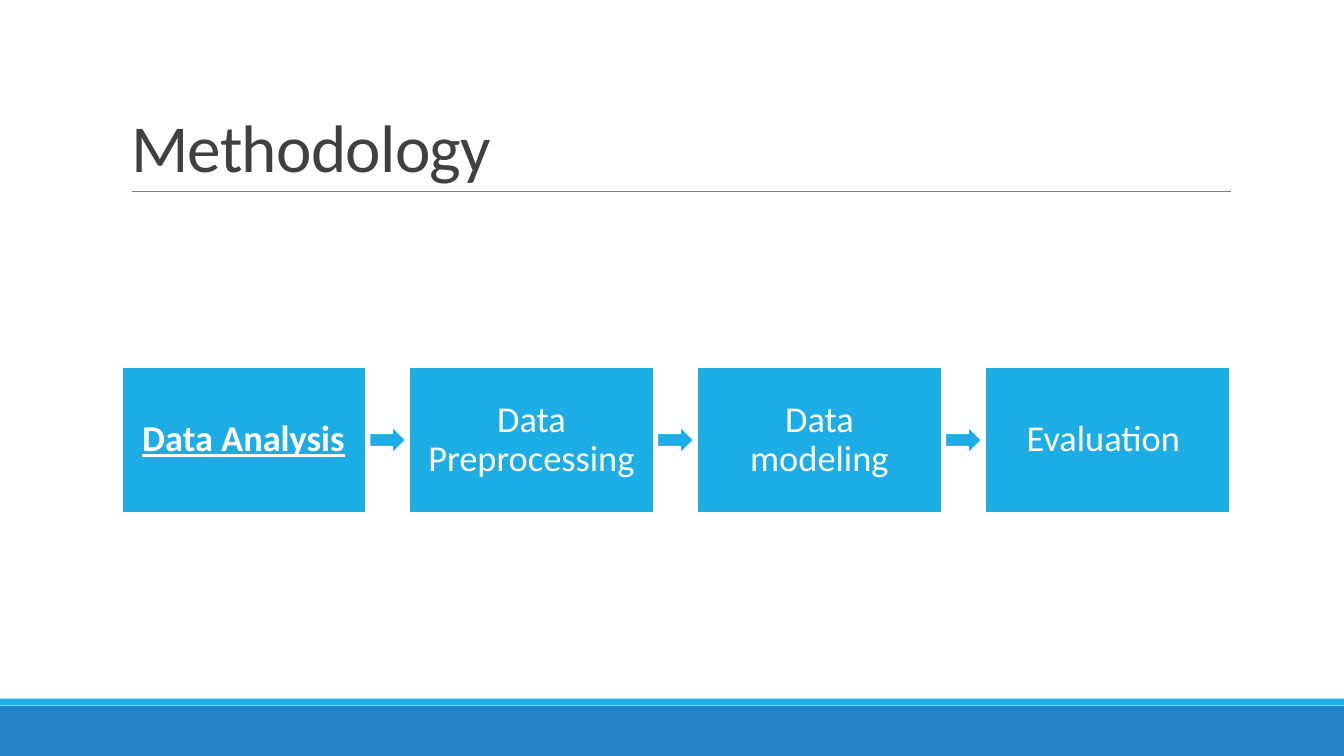
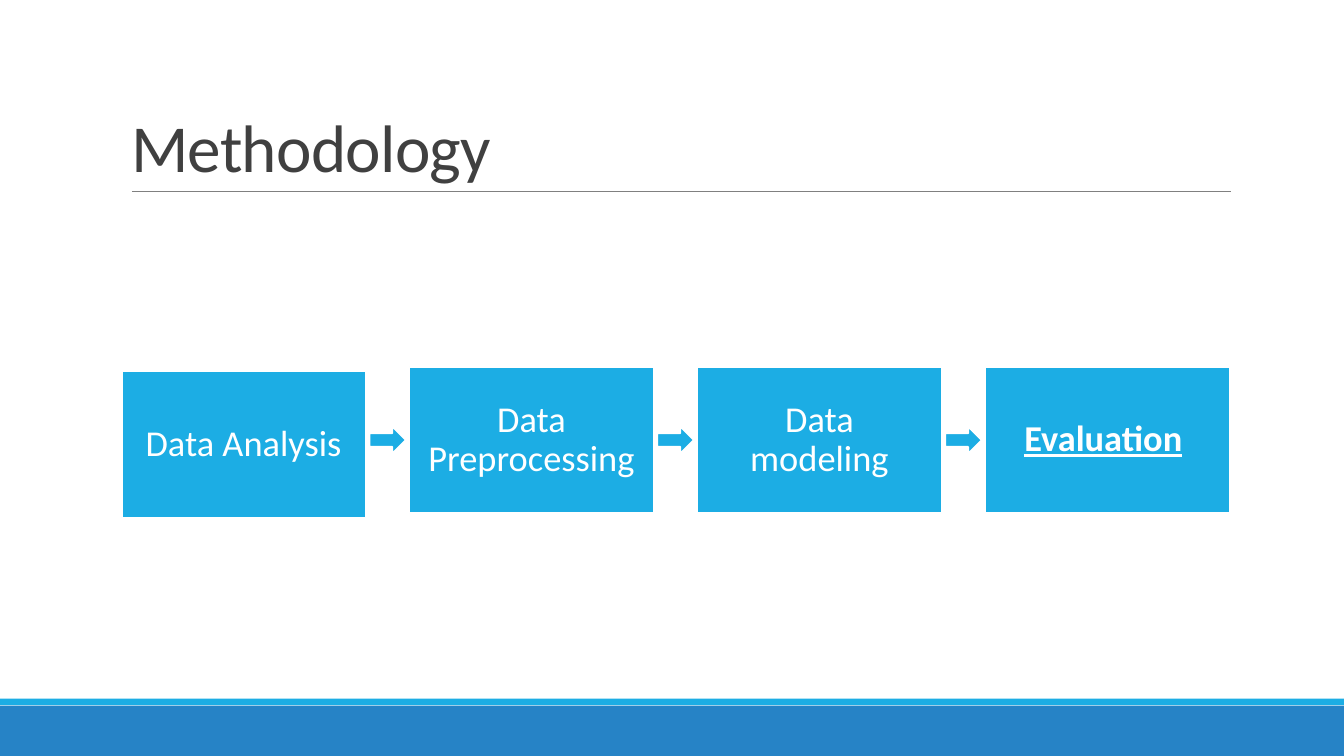
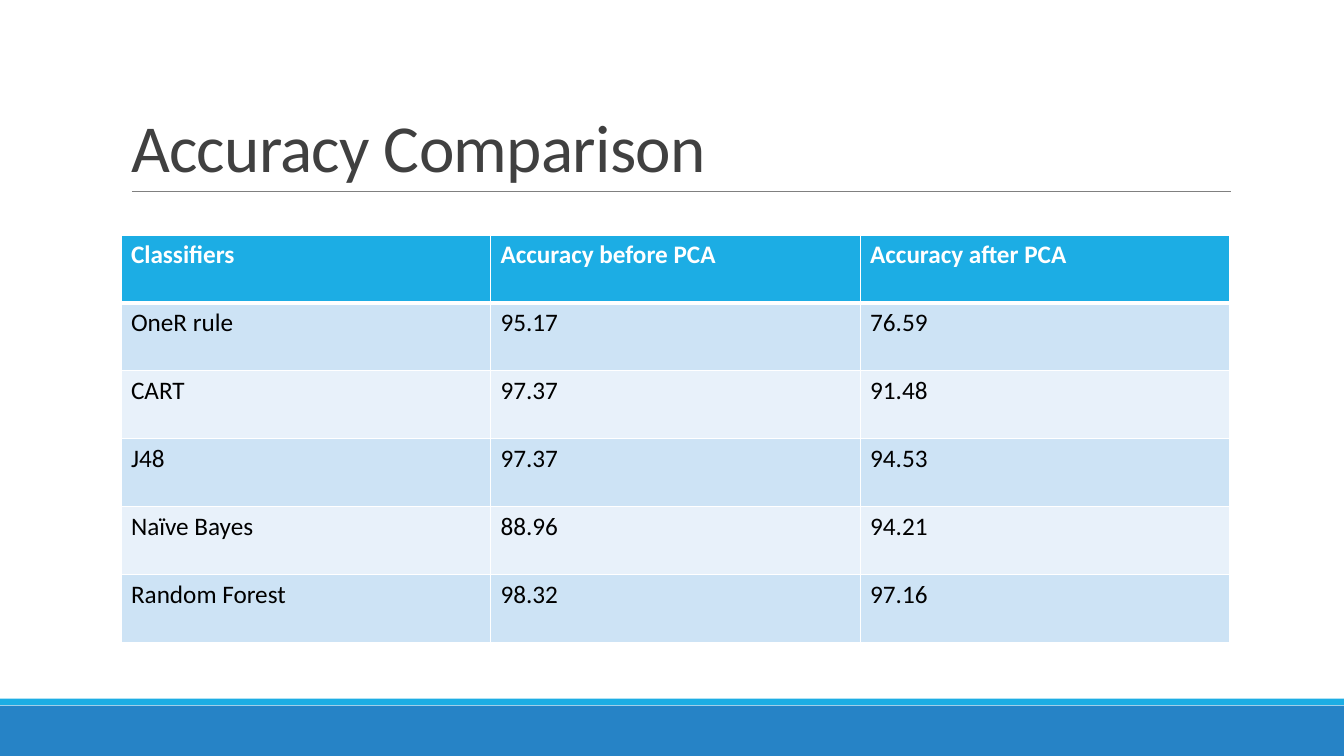
from lxml import etree
from pptx import Presentation
from pptx.dml.color import RGBColor
from pptx.enum.shapes import MSO_CONNECTOR, MSO_SHAPE
from pptx.enum.text import MSO_ANCHOR, MSO_AUTO_SIZE, PP_ALIGN
from pptx.oxml.ns import qn
from pptx.util import Pt

RECTANGLE, ARROW = MSO_SHAPE.RECTANGLE, MSO_SHAPE.RIGHT_ARROW
STRAIGHT = MSO_CONNECTOR.STRAIGHT
TOP, MIDDLE, BOTTOM = MSO_ANCHOR.TOP, MSO_ANCHOR.MIDDLE, MSO_ANCHOR.BOTTOM
LEFT, CENTER = PP_ALIGN.LEFT, PP_ALIGN.CENTER
NO_AUTOFIT = MSO_AUTO_SIZE.NONE

# Shared style
FONT = "Calibri"
WHITE, BLACK, DARK, GREY = "FFFFFF", "000000", "404040", "808080"
SKY, BLUE = "1CADE4", "2683C6"
ROW_FILLS = ("CDE3F5", "E8F1FA")
PAGE_WIDTH, PAGE_HEIGHT = 960, 540

# Boxes: left, top, width, height
TITLE_BOX = (86.4, 22.6, 792, 114.2)
FLOW_BOX = (86.9, 262.1, 791.3, 104.5)
TABLE_BOX = (86.4, 167.8, 792, 291)

STEPS = ("Data Analysis", "Data Preprocessing", "Data modeling", "Evaluation ")
ACCURACY = (
    ("Classifiers", "Accuracy before PCA", "Accuracy after PCA"),
    ("OneR rule", "95.17", "76.59"),
    ("CART", "97.37", "91.48"),
    ("J48", "97.37", "94.53"),
    ("Naïve Bayes", "88.96", "94.21"),
    ("Random Forest", "98.32", "97.16"),
)


def color(code):
    return RGBColor.from_string(code)


def points(*lengths):
    return [Pt(length) for length in lengths]


def write_text(frame, text, size=18, ink=BLACK, strong=False, underline=False,
               align=LEFT, anchor=TOP, line_spacing=1.0, tracking=0):
    """Fill a text frame; a trailing space stays free of emphasis."""
    frame.word_wrap = True
    frame.vertical_anchor = anchor
    para = frame.paragraphs[0]
    para.alignment = align
    para.line_spacing = line_spacing
    words = text.rstrip()
    for part, emphasis in ((words, True), (text[len(words):], False)):
        if not part:
            continue
        span = para.add_run()
        span.text = part
        span.font.name = FONT
        span.font.size = Pt(size)
        span.font.color.rgb = color(ink)
        span.font.bold = strong and emphasis
        span.font.underline = underline and emphasis
        if tracking:
            span._r.get_or_add_rPr().set("spc", str(round(tracking * 100)))


def add_block(page, kind, box, fill, outline=None):
    block = page.shapes.add_shape(kind, *points(*box))
    block.shadow.inherit = False
    block.fill.solid()
    block.fill.fore_color.rgb = color(fill)
    if outline:
        block.line.color.rgb = color(outline)
        block.line.width = Pt(1.25)
    else:
        block.line.fill.background()
    return block


def add_page(deck, title):
    """Start a page with the shared title, rule and footer bands."""
    page = deck.slides.add_slide(deck.slide_layouts.get_by_name("Title Only"))
    left, top, width, height = TITLE_BOX

    # Footer bands
    add_block(page, RECTANGLE, (0, 504, PAGE_WIDTH, 36), BLUE)
    add_block(page, RECTANGLE, (0, 499, PAGE_WIDTH, 4.7), SKY)

    # Rule under the title
    base = top + height
    rule = page.shapes.add_connector(
        STRAIGHT, *points(left + 7.8, base, left + width + 0.6, base))
    rule.line.color.rgb = color(GREY)
    rule.line.width = Pt(0.5)
    etree.SubElement(rule._element.spPr, qn("a:effectLst"))

    # Title
    holder = page.shapes.title
    holder.left, holder.top, holder.width, holder.height = points(*TITLE_BOX)
    holder.text_frame.auto_size = NO_AUTOFIT
    write_text(holder.text_frame, title, size=48, ink=DARK, anchor=BOTTOM,
               line_spacing=0.85, tracking=-0.5)
    return page


def add_flow(page, box, current, first_drop=0):
    """Draw the steps in a row, with arrows between, the current one stressed."""
    left, top, width, height = box
    step_width, arrow_width, arrow_height = 174.2, 26, 19.4
    pitch = (width - step_width) / (len(STEPS) - 1)
    gap = pitch - step_width
    for index, label in enumerate(STEPS):
        x = left + index * pitch
        if index:
            add_block(page, ARROW,
                      (x - (gap + arrow_width) / 2, top + (height - arrow_height) / 2,
                       arrow_width, arrow_height), SKY, WHITE)
        drop = 0 if index else first_drop
        step = add_block(page, RECTANGLE, (x, top + drop, step_width, height), SKY, WHITE)
        frame = step.text_frame
        frame.margin_left = frame.margin_right = Pt(12.2)
        frame.margin_top = frame.margin_bottom = Pt(12.2)
        stressed = index == current
        write_text(frame, label, size=26, ink=WHITE, strong=stressed,
                   underline=stressed, align=CENTER, anchor=MIDDLE, line_spacing=0.9)


def set_borders(cell, **widths):
    properties = cell._tc.get_or_add_tcPr()
    for side in "LRTB":
        line = etree.SubElement(properties, qn(f"a:ln{side}"),
                                w=str(Pt(widths.get(side, 1))))
        fill = etree.SubElement(line, qn("a:solidFill"))
        etree.SubElement(fill, qn("a:srgbClr"), val=WHITE)


def add_accuracy_table(page, box, rows):
    table = page.shapes.add_table(len(rows), len(rows[0]), *points(*box)).table
    table.horz_banding = False
    for row in table.rows:
        row.height = Pt(box[3] / len(rows))
    for row_index, values in enumerate(rows):
        header = row_index == 0
        for column_index, value in enumerate(values):
            cell = table.cell(row_index, column_index)
            set_borders(cell, T=3 if row_index == 1 else 1, B=3 if header else 1)
            cell.fill.solid()
            cell.fill.fore_color.rgb = color(
                SKY if header else ROW_FILLS[(row_index - 1) % 2])
            write_text(cell.text_frame, value, ink=WHITE if header else BLACK,
                       strong=header)


def main():
    deck = Presentation()
    deck.slide_width, deck.slide_height = points(PAGE_WIDTH, PAGE_HEIGHT)
    add_flow(add_page(deck, "Methodology"), FLOW_BOX, current=0)
    add_flow(add_page(deck, "Methodology"), FLOW_BOX, current=3, first_drop=3)
    add_accuracy_table(add_page(deck, "Accuracy Comparison"), TABLE_BOX, ACCURACY)
    deck.save("out.pptx")


if __name__ == "__main__":
    main()
